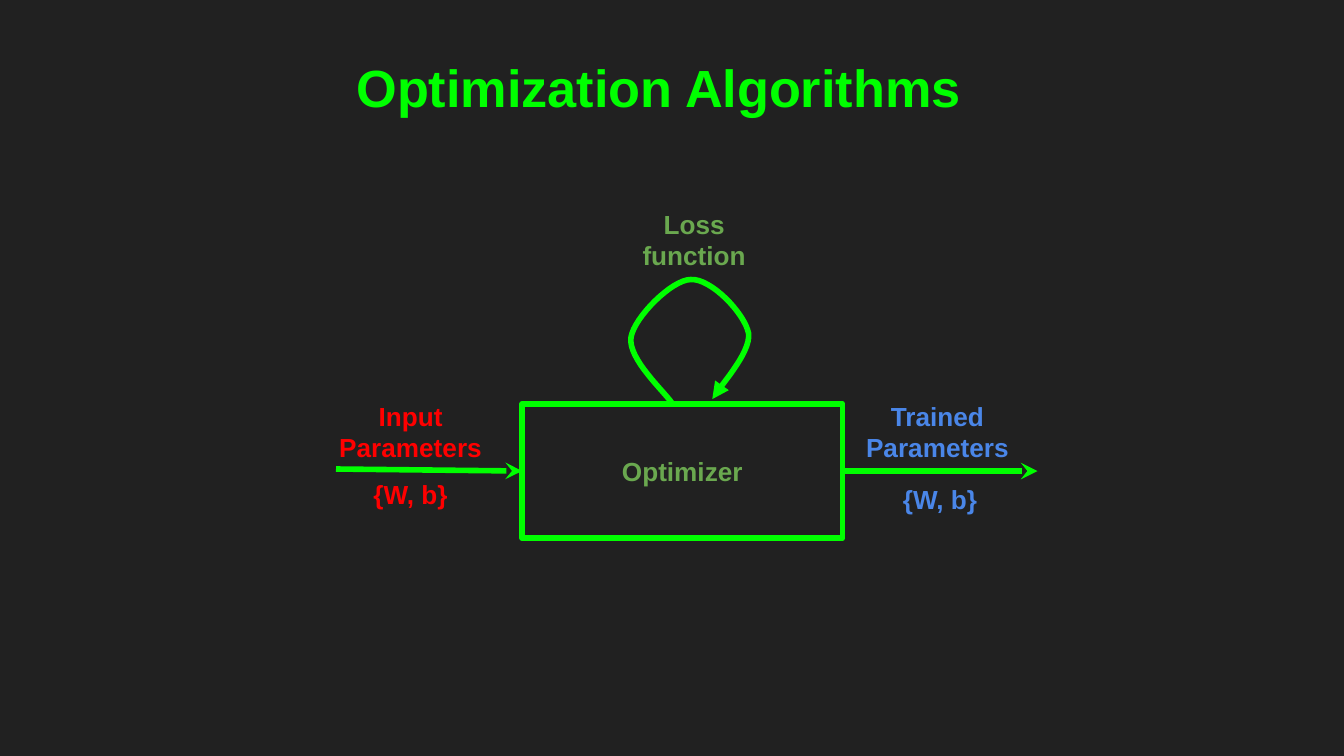
"""Builds a slide showing an optimizer turning input parameters into trained ones."""
import pptx
import pptx.util
import pptx.dml.color
import pptx.enum.shapes
import pptx.enum.text
import pptx.oxml
import pptx.oxml.ns

THEME = {
    "background": "212121",
    "accent": "00FF00",
    "muted": "6AA84F",
    "input": "FF0000",
    "trained": "4A86E8",
    "font": "Arial",
    "title_size": 28,
    "label_size": 14,
    "line_width": 3,
}

presentation = pptx.Presentation()
presentation.slide_width = pptx.util.Inches(10)
presentation.slide_height = presentation.slide_width * 9 // 16
column = presentation.slide_width / 100
row = presentation.slide_height / 56.25


def write(shape, text, color, size, anchor=pptx.enum.text.MSO_ANCHOR.TOP):
    frame = shape.text_frame
    frame.word_wrap = True
    frame.auto_size = pptx.enum.text.MSO_AUTO_SIZE.NONE
    frame.vertical_anchor = anchor
    frame.margin_left = frame.margin_right = pptx.util.Inches(0.1)
    frame.margin_top = frame.margin_bottom = pptx.util.Inches(0.1)
    frame.text = text
    for paragraph in frame.paragraphs:
        paragraph.alignment = pptx.enum.text.PP_ALIGN.CENTER
        paragraph.space_before = pptx.util.Pt(0)
        paragraph.font.name = THEME["font"]
        paragraph.font.size = pptx.util.Pt(size)
        paragraph.font.bold = True
        paragraph.font.color.rgb = pptx.dml.color.RGBColor.from_string(THEME[color])


def draw_line(shape, arrowhead=None):
    shape.line.color.rgb = pptx.dml.color.RGBColor.from_string(THEME["accent"])
    shape.line.width = pptx.util.Pt(THEME["line_width"])
    if arrowhead:
        outline = shape.element.spPr.find(pptx.oxml.ns.qn("a:ln"))
        outline.append(pptx.oxml.parse_xml(
            f'<a:tailEnd {pptx.oxml.ns.nsdecls("a")} type="{arrowhead}"/>'))


slide = presentation.slides.add_slide(presentation.slide_layouts[5])
slide.background.fill.solid()
slide.background.fill.fore_color.rgb = pptx.dml.color.RGBColor.from_string(THEME["background"])

title = slide.shapes.title
title.left, title.top = round(2.4 * column), round(3.1 * row)
title.width, title.height = round(93.2 * column), round(8.7 * row)
write(title, "Optimization Algorithms", "accent", THEME["title_size"])

box_left, box_top, box_width, box_height = 38.85, 30.05, 23.85, 10
box_right, box_middle = box_left + box_width, box_top + box_height / 2
optimizer = slide.shapes.add_shape(
    pptx.enum.shapes.MSO_SHAPE.RECTANGLE, round(box_left * column), round(box_top * row),
    round(box_width * column), round(box_height * row))
optimizer.shadow.inherit = False
optimizer.fill.background()
draw_line(optimizer)
write(optimizer, "Optimizer", "muted", THEME["label_size"], pptx.enum.text.MSO_ANCHOR.MIDDLE)

for start_x, start_y, end_x in [(25, 34.9, box_left), (box_right, box_middle, 77.2)]:
    arrow = slide.shapes.add_connector(
        pptx.enum.shapes.MSO_CONNECTOR.STRAIGHT, round(start_x * column), round(start_y * row),
        round(end_x * column), round(box_middle * row))
    draw_line(arrow, "stealth")
    arrow.element.spPr.append(
        pptx.oxml.parse_xml(f'<a:effectLst {pptx.oxml.ns.nsdecls("a")}/>'))

labels = [
    ("Input Parameters", "input", 24.15, 28.8, 12.8, 3.6),
    ("Trained\nParameters", "trained", 63.35, 28.8, 12.8, 3.6),
    ("{W, b}", "input", 24.15, 34.6, 12.8, 3.6),
    ("{W, b}", "trained", 65.3, 35, 9.3, 4.2),
    ("Loss function", "muted", 45.25, 14.5, 12.8, 3.6),
]
for text, color, left, top, width, height in labels:
    label = slide.shapes.add_textbox(
        round(left * column), round(top * row), round(width * column), round(height * row))
    write(label, text, color, THEME["label_size"])

loop_start = (50, 30)
loop_curves = [
    [(49.5, 29.2), (46.7, 26.7), (46.95, 25.1)],
    [(47.2, 23.6), (50, 20.8), (51.4, 20.8)],
    [(52.9, 20.7), (55.4, 23.3), (55.7, 24.8)],
    [(55.9, 26.3), (53.4, 28.9), (53, 29.7)],
]
steps = 16
loop_points = []
current = loop_start
for first, second, end in loop_curves:
    for step in range(1, steps + 1):
        t = step / steps
        weights = ((1 - t) ** 3, 3 * t * (1 - t) ** 2, 3 * t ** 2 * (1 - t), t ** 3)
        controls = (current, first, second, end)
        x, y = (sum(weight * point[axis] for weight, point in zip(weights, controls))
                for axis in range(2))
        loop_points.append((round(x * column), round(y * row)))
    current = end
builder = slide.shapes.build_freeform(
    round(loop_start[0] * column), round(loop_start[1] * row))
builder.add_line_segments(loop_points, close=False)
loop = builder.convert_to_shape()
loop.shadow.inherit = False
loop.fill.background()
draw_line(loop, "triangle")

presentation.save("out.pptx")
